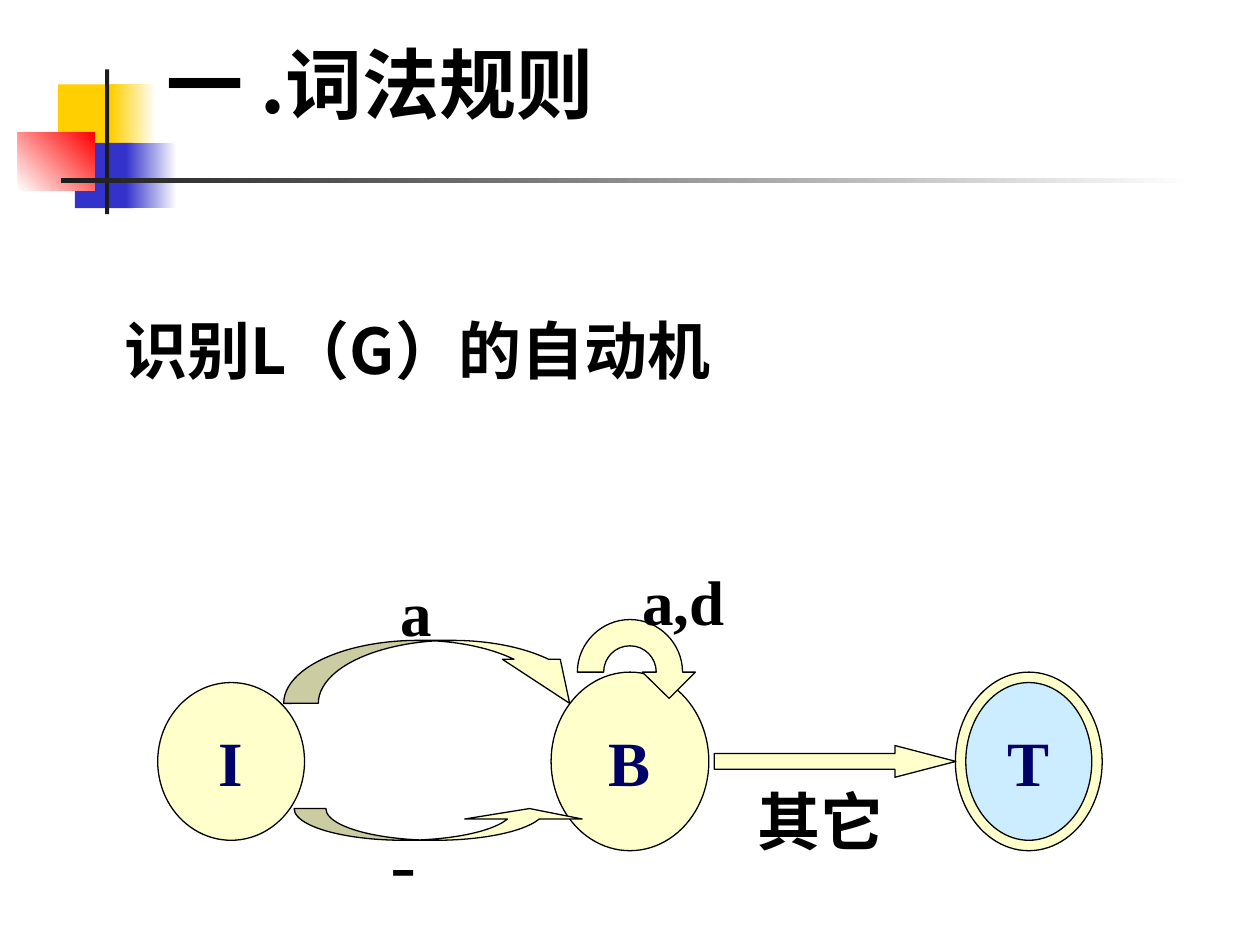
from lxml import etree
from pptx import Presentation
from pptx.dml.color import RGBColor
from pptx.enum.shapes import MSO_SHAPE
from pptx.enum.text import MSO_ANCHOR, PP_ALIGN
from pptx.oxml.ns import qn
from pptx.util import Cm, Pt

RECT, OVAL, ARROW = MSO_SHAPE.RECTANGLE, MSO_SHAPE.OVAL, MSO_SHAPE.RIGHT_ARROW
DOWN, UP = MSO_SHAPE.CURVED_DOWN_ARROW, MSO_SHAPE.CURVED_UP_ARROW
TOP, MIDDLE, BOTTOM = MSO_ANCHOR.TOP, MSO_ANCHOR.MIDDLE, MSO_ANCHOR.BOTTOM
LEFT, CENTER = PP_ALIGN.LEFT, PP_ALIGN.CENTER

HEX = {
    "black": "000000", "white": "FFFFFF", "ink": "1C1C1C", "navy": "000066",
    "gold": "FFCF01", "blue": "3333CC", "red": "FF0000",
    "cream": "FFFFCC", "sky": "CCECFF",
}
SANS, SERIF = "Noto Sans CJK SC", "Times New Roman"

# Lengths are in centimetres: left, top, width, height.
# Ornament: box, start colour, end colour (None for a plain fill), angle
ORNAMENT = [
    ((1.17, 1.7, 1.22, 1.32), "gold", None, 0),
    ((2.24, 1.7, 0.91, 1.32), "gold", "white", 0),
    ((1.51, 2.88, 1.17, 1.32), "blue", None, 0),
    ((2.54, 2.88, 1.02, 1.32), "blue", "white", 0),
    ((0.36, 2.67, 1.55, 1.17), "white", "red", 45),
    ((2.12, 1.4, 0.08, 2.92), "ink", None, 0),
    ((1.23, 3.59, 22.86, 0.1), "ink", "white", 0),
]

# States: name, centre x, width, height, fill
AXIS = 15.35
STATES = [
    ("I", 4.66, 2.96, 3.18, "cream"),
    ("B", 12.7, 3.18, 3.6, "cream"),
    ("", 20.74, 2.96, 3.6, "cream"),
    ("T", 20.74, 2.54, 3.18, "sky"),
]

# Moves between states: kind, box, adjustments
MOVES = [
    (DOWN, (5.72, 12.91, 6.35, 1.27), (0.55, 0.92, 0.7)),
    (UP, (5.93, 16.3, 5.93, 0.64), (1.87, 3.7, 0.33)),
    (ARROW, (14.4, AXIS - 0.32, 4.87, 0.64), (0.5, 1.92)),
]

# Loop on B: points (2 numbers) and cubic curves (6 numbers)
LOOP = [
    (13.23, 13.55),
    (13.23, 13.26, 13, 13.02, 12.7, 13.02),
    (12.4, 13.02, 12.17, 13.26, 12.17, 13.55),
    (11.64, 13.55),
    (11.64, 12.97, 12.12, 12.49, 12.7, 12.49),
    (13.28, 12.49, 13.76, 12.97, 13.76, 13.55),
    (14.02, 13.55), (13.49, 14.08), (12.95, 13.55),
]

# Texts: wording, box, font, size, bold, anchor
TEXTS = [
    ("a", (7.83, 11.43, 1.91, 1.78), SERIF, 36, True, TOP),
    ("-", (7.62, 16.3, 1.69, 2.13), SERIF, 44, False, TOP),
    ("a,d", (12.7, 11.22, 2.75, 1.78), SERIF, 36, True, TOP),
    ("其它", (15.03, 15.66, 3.18, 1.78), SERIF, 36, True, TOP),
    ("识别L（G）的自动机", (2.26, 6.16, 13.41, 1.78), SANS, 36, True, TOP),
    ("一 .词法规则", (3.1, 0.93, 21.74, 1.8), SANS, 44, True, BOTTOM),
]


def color(name):
    return RGBColor.from_string(HEX[name])


def paint(shape, fill, line=True):
    shape.shadow.inherit = False
    shape.fill.solid()
    shape.fill.fore_color.rgb = color(fill)
    if line:
        shape.line.color.rgb = color("black")
        shape.line.width = Pt(0.75)
    else:
        shape.line.fill.background()


def fade(shape, start, end, angle):
    shape.fill.gradient()
    shape.fill.gradient_angle = angle
    for stop, name in zip(shape.fill.gradient_stops, (start, end)):
        stop.color.rgb = color(name)


def add(kind, box, fill, line=True):
    shape = shapes.add_shape(kind, *map(Cm, box))
    paint(shape, fill, line)
    return shape


def write(shape, text, face, size, bold, anchor, align, ink, wrap):
    frame = shape.text_frame
    frame.word_wrap = wrap
    frame.vertical_anchor = anchor
    par = frame.paragraphs[0]
    par.text = text
    par.alignment = align
    font = par.font
    font.name, font.size, font.bold = face, Pt(size), bold
    font.color.rgb = color(ink)
    props = par._p.pPr.find(qn("a:defRPr"))
    etree.SubElement(props, qn("a:ea")).set("typeface", SANS)


def trace(path):
    """Build a closed outline, joining each curve's three points as a cubic."""
    dots = [(part[i] * 100, part[i + 1] * 100)
            for part in path for i in range(0, len(part), 2)]
    pen = shapes.build_freeform(*dots[0], scale=Cm(0.01))
    pen.add_line_segments(dots[1:], close=True)
    shape = pen.convert_to_shape()
    lines = iter(list(shape._element.iter(qn("a:lnTo"))))
    for part in path[1:]:
        first = next(lines)
        if len(part) == 6:
            curve = etree.Element(qn("a:cubicBezTo"))
            first.addprevious(curve)
            for line in (first, next(lines), next(lines)):
                curve.append(line[0])
                line.getparent().remove(line)
    return shape


deck = Presentation()
deck.slide_width, deck.slide_height = Cm(25.4), Cm(19.05)
shapes = deck.slides.add_slide(deck.slide_layouts[6]).shapes

for box, start, end, angle in ORNAMENT:
    block = add(RECT, box, start, line=False)
    if end:
        fade(block, start, end, angle)

for name, mid, wide, high, fill in STATES:
    state = add(OVAL, (mid - wide / 2, AXIS - high / 2, wide, high), fill)
    if name:
        write(state, name, SERIF, 36, True, MIDDLE, CENTER, "navy", False)

for kind, box, bends in MOVES:
    move = add(kind, box, "cream")
    for i, bend in enumerate(bends):
        move.adjustments[i] = bend

paint(trace(LOOP), "cream")

for text, box, face, size, bold, anchor in TEXTS:
    label = shapes.add_textbox(*map(Cm, box))
    write(label, text, face, size, bold, anchor, LEFT, "black", True)

deck.save("out.pptx")
